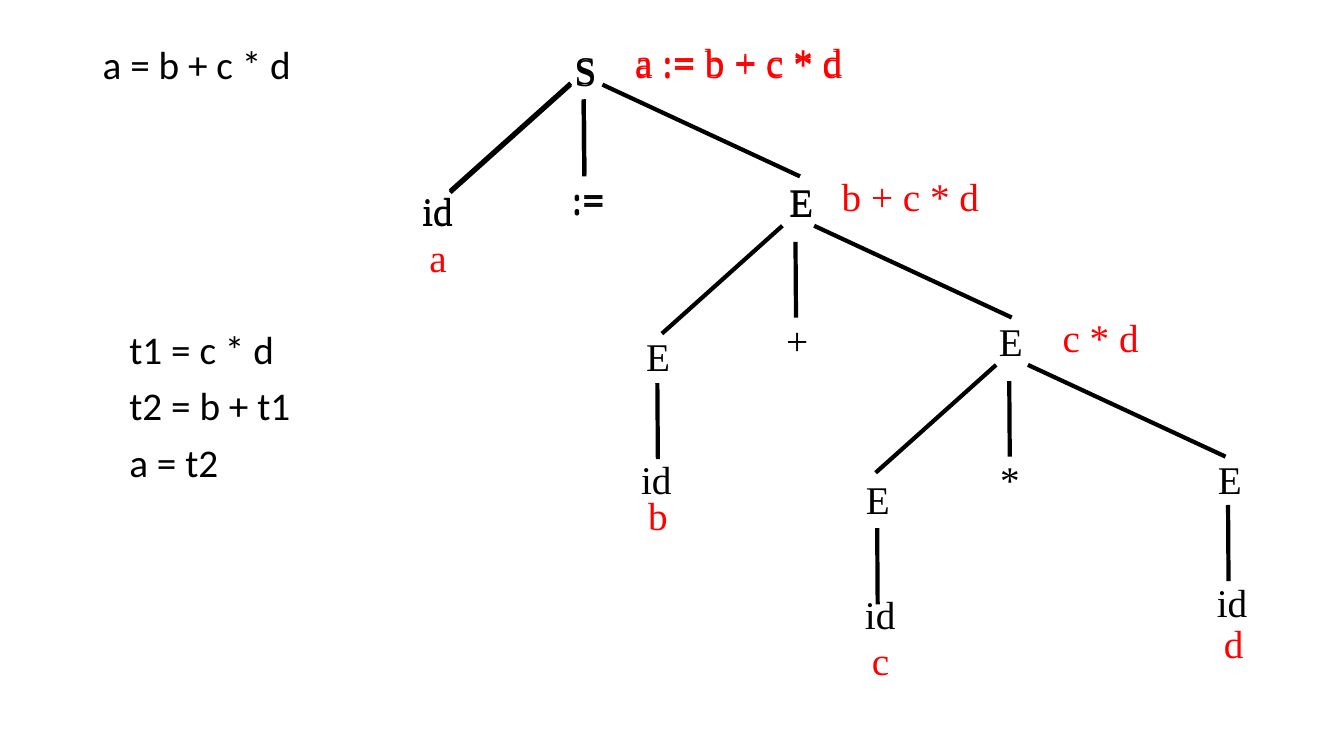
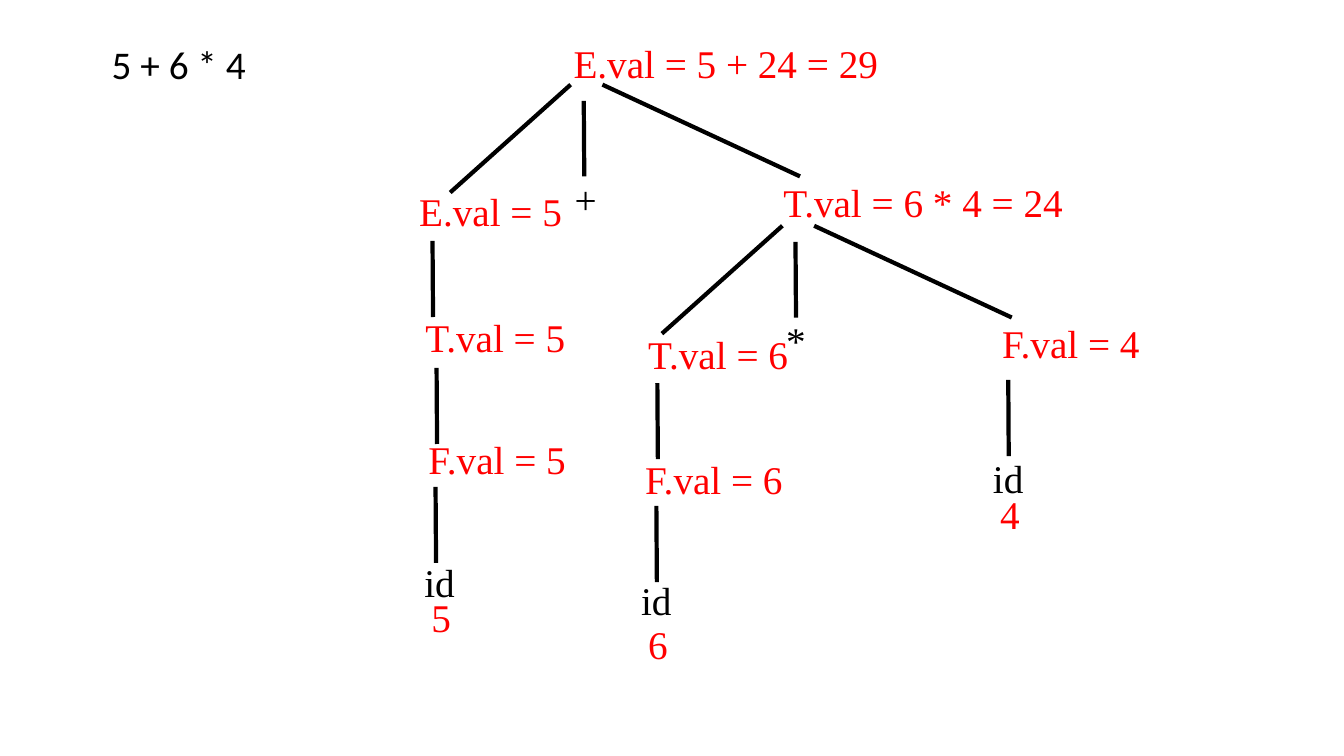
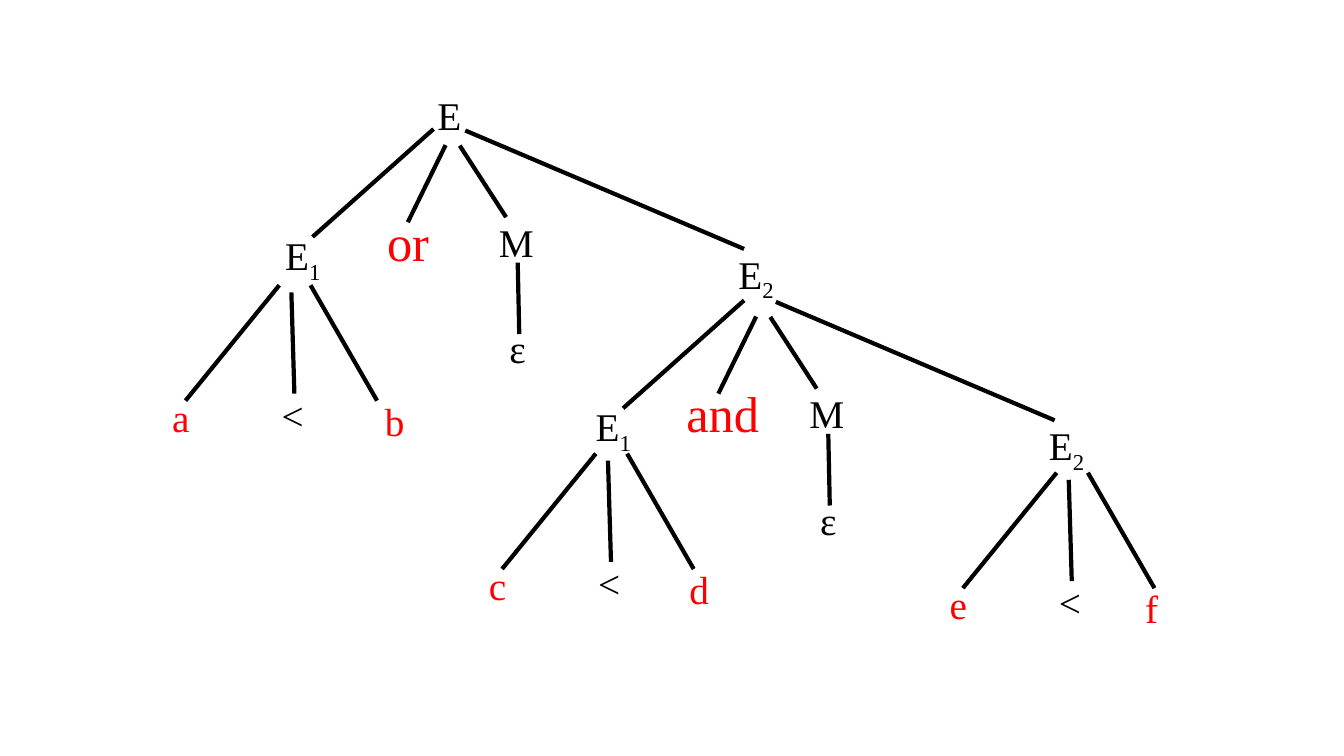
from dataclasses import dataclass

from lxml.etree import SubElement
from pptx import Presentation
from pptx.dml.color import RGBColor
from pptx.enum.shapes import MSO_CONNECTOR as Connector
from pptx.oxml.ns import qn
from pptx.slide import Slide
from pptx.util import Inches, Pt

STEP = Inches(0.1)  # side of one square of the layout grid
BLACK, RED = "000000", "FF0000"
TREE_FONT, BODY_FONT = "Times New Roman", "Calibri"
TEXT_SIZE, KEYWORD_SIZE = 28, 36

# Branches as start and end, in grid steps from the top of the leftmost branch
STEM = [(0, 0, 0.05, 7.55)]
FORK = [(0, 0, -11.95, 10.7), (1.3, 1.6, 1.35, 9.1), (3.15, 0, 22.75, 9.1)]
WIDE_FORK = [(0, 0, -12, 10.7), (1.2, 1.6, -2.55, 9.25),
             (2.6, 1.65, 7.2, 8.75), (3.15, 0.15, 30.8, 11.9)]
COMPARISON = [(0, 0, -9.3, 11.45), (1.2, 0.7, 1.5, 10.75), (3.1, 0, 9.7, 11.45)]
MARKER_STEM = [(0, 0, 0.15, 7.1)]


def steps(count):
    return round(count * STEP)


def style(font, name, size, color):
    font.name, font.size = name, Pt(size)
    font.color.rgb = RGBColor.from_string(color)


@dataclass
class Region:
    """Area of a page whose items are placed in grid steps from its corner."""
    page: Slide
    left: float = 0
    top: float = 0

    def region_at(self, left, top):
        return Region(self.page, self.left + left, self.top + top)

    def add_frame(self, left, top, width, height):
        box = self.page.shapes.add_textbox(
            steps(self.left + left), steps(self.top + top), steps(width), steps(height))
        box.text_frame.word_wrap = True
        return box.text_frame

    def branches(self, lines):
        for x1, y1, x2, y2 in lines:
            line = self.page.shapes.add_connector(
                Connector.STRAIGHT,
                steps(self.left + x1), steps(self.top + y1),
                steps(self.left + x2), steps(self.top + y2))
            line.line.width = Pt(3)
            line.line.color.rgb = RGBColor.from_string(BLACK)
            SubElement(line._element.spPr, qn("a:effectLst"))

    def label(self, text, left, top, color=BLACK, size=TEXT_SIZE, subscript=""):
        width = 4 + 1.6 * len(text + subscript) * size / TEXT_SIZE
        para = self.add_frame(left, top, width, size / 5).paragraphs[0]
        para.text = text
        if subscript:
            index = para.add_run()
            index.text = subscript
            index._r.get_or_add_rPr().set("baseline", "-25000")
        for span in para.runs:
            style(span.font, TREE_FONT, size, color)

    def body(self, lines, left, top):
        frame = self.add_frame(left, top, 40, 5.6 * len(lines))
        frame.text = "\n".join(lines)
        for number, para in enumerate(frame.paragraphs):
            para.line_spacing = 0.9
            para.space_before = Pt(10 if number else 0)
            style(para.runs[0].font, BODY_FONT, TEXT_SIZE, BLACK)


def operation(region, operator):
    """Three branches with the operator under the middle one."""
    region.branches(FORK)
    region.label(operator, -0.6, 8.5)


def leaf(region, value, left, id_top, value_top):
    """A stem down to an id and its value."""
    region.branches(STEM)
    region.label("id", left, id_top)
    region.label(value, left + 0.7, value_top, RED)


def comparison(region, first, second, second_left):
    region.branches(COMPARISON)
    region.label(first, -11.6, 10.2, RED)
    region.label("<", -0.75, 10)
    region.label(second, second_left, 10.6, RED)


def condition(region, keyword, keyword_left):
    """Two subexpressions joined by a keyword and an empty marker."""
    region.branches(WIDE_FORK)
    region.label("E", -15.7, 9.65, subscript="1")
    region.label(keyword, keyword_left, 7.65, RED, KEYWORD_SIZE)
    region.label("M", 5.5, 8.35)
    region.region_at(8.35, 13.25).branches(MARKER_STEM)
    region.label("ε", 6.55, 18.9)
    region.label("E", 29.25, 11.5, subscript="2")


def assignment_root(region):
    """Top of the assignment tree, down to its first level."""
    region.branches(FORK[:2])
    region.label("S", -0.6, -4.2)
    region.label("a := b + c * d", 5.4, -5, RED)
    region.label("id", -15.7, 9.7)
    region.label(":=", -0.9, 8.6)
    region.label("E", 20.7, 8.8)


def assignment_slide(canvas):
    canvas.body(["a = b + c * d"], 9.2, 4)
    canvas.body(["t1 = c * d", "t2 = b + t1", "a = t2"], 11.85, 32.3)
    for lift in (0, 0.15):  # the top level is drawn twice for weight
        assignment_root(canvas.region_at(56.6, 8.4 - lift))
    canvas.region_at(56.6, 8.4).branches(FORK[2:])
    canvas.label("a", 41.6, 22.7, RED)
    canvas.label("b + c * d", 82.5, 16.6, RED)
    operation(canvas.region_at(77.6, 22.4), "+")
    canvas.label("E", 63.1, 32.5)
    canvas.label("E", 98.1, 31)
    canvas.label("c * d", 104.4, 30.6, RED)
    operation(canvas.region_at(98.8, 36.2), "*")
    canvas.label("E", 84.9, 46.7)
    canvas.label("E", 119.8, 44.7)
    leaf(canvas.region_at(65.2, 38), "b", -2.6, 6.7, 10.3)
    leaf(canvas.region_at(87, 52.4), "c", -2.2, 5.7, 10.2)
    leaf(canvas.region_at(121.8, 50.1), "d", -2.1, 6.8, 10.8)


def evaluation_slide(canvas):
    canvas.body(["5 + 6 * 4"], 10.1, 4)
    operation(canvas.region_at(56.6, 8.4), "+")
    operation(canvas.region_at(77.6, 22.4), "*")
    for value, left, top in (
            ("E.val = 5 + 24 = 29", 55.9, 3.4),
            ("E.val = 5", 40.6, 18.1),
            ("T.val = 5", 41.2, 30.6),
            ("F.val = 5", 41.5, 42.7),
            ("T.val = 6 * 4 = 24", 76.7, 17.2),
            ("T.val = 6", 63.3, 32.3),
            ("F.val = 6", 63, 44.7),
            ("F.val = 4", 98.4, 31.2)):
        canvas.label(value, left, top, RED)
    for left, top in ((42.9, 23.9), (43.3, 36.5), (65.2, 38)):
        canvas.region_at(left, top).branches(STEM)
    leaf(canvas.region_at(43.2, 48.3), "5", -2.1, 6.6, 10.1)
    leaf(canvas.region_at(65.1, 50.2), "6", -2.5, 6.5, 10.8)
    leaf(canvas.region_at(100, 37.7), "4", -2.5, 6.9, 10.5)


def condition_slide(canvas):
    canvas.label("E", 42.4, 8.6)
    condition(canvas.region_at(43, 12.8), "or", -5.6)
    condition(canvas.region_at(73.8, 29.8), "and", -6.7)
    comparison(canvas.region_at(27.7, 28.3), "a", "b", 9.5)
    comparison(canvas.region_at(59.1, 45), "c", "d", 8.3)
    comparison(canvas.region_at(104.8, 46.9), "e", "f", 7.8)


def main():
    deck = Presentation()
    deck.slide_width, deck.slide_height = Inches(13.33), Inches(7.5)
    for build in (assignment_slide, evaluation_slide, condition_slide):
        build(Region(deck.slides.add_slide(deck.slide_layouts[6])))
    deck.save("out.pptx")


if __name__ == "__main__":
    main()
